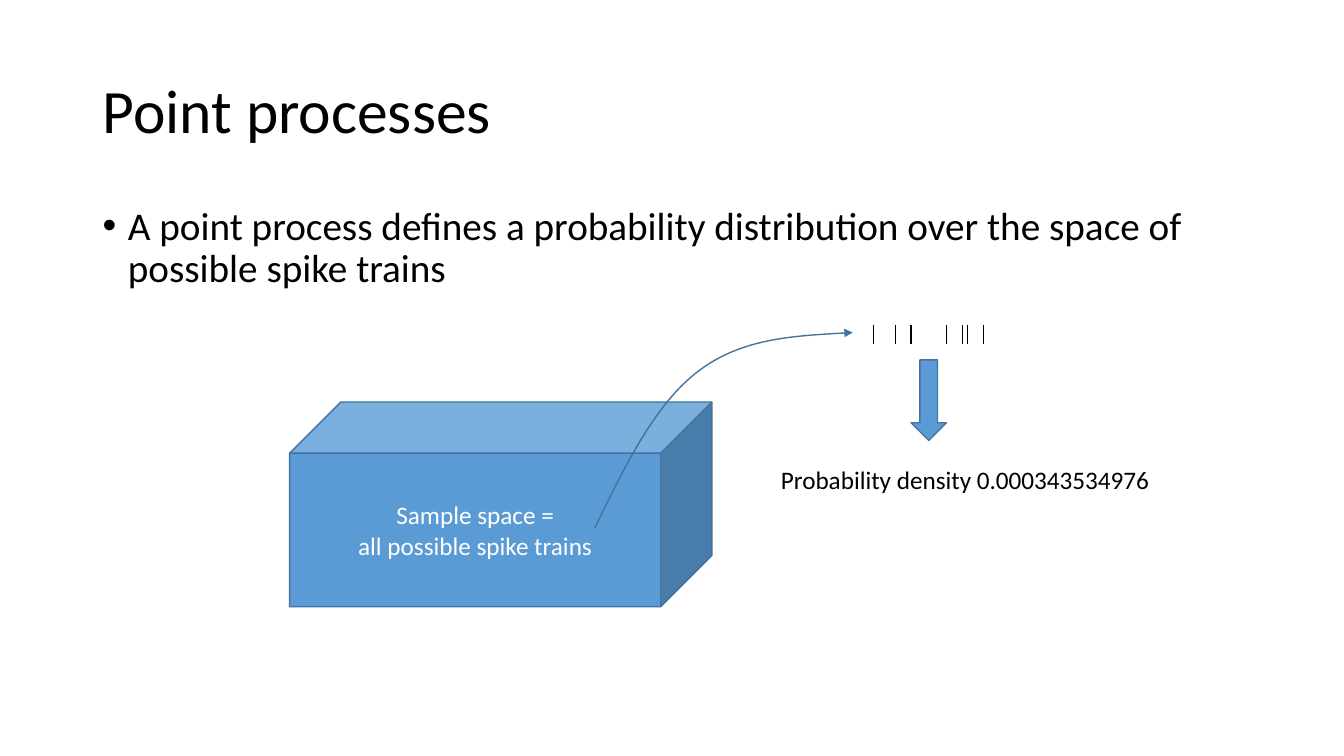
from typing import NamedTuple

from lxml import etree
from pptx import Presentation
from pptx import util as u
from pptx.dml.color import RGBColor
from pptx.enum import shapes, text
from pptx.oxml.ns import qn

COLORS = {"ink": "000000", "fill": "5B9BD5", "edge": "43739E", "light": "FFFFFF"}
FONT = "Calibri"


class Box(NamedTuple):
    """Left, top, width and height in centimetres."""
    x: float
    y: float
    w: float
    h: float


class Solid(NamedTuple):
    shape: shapes.MSO_SHAPE
    box: Box
    label: str


TITLE_BOX = Box(2.33, 1.01, 29.21, 3.68)
BODY_BOX = Box(2.33, 5.08, 29.21, 12.09)
DENSITY_BOX = Box(19.43, 11.58, 9.91, 1.02)
SOLIDS = [
    Solid(shapes.MSO_SHAPE.CUBE, Box(7.3, 10.13, 10.64, 5.16),
          "Sample space =\nall possible spike trains"),
    Solid(shapes.MSO_SHAPE.DOWN_ARROW, Box(22.96, 9.07, 0.89, 2.03), ""),
]
SPIKE_TIMES = [22.02, 22.56, 22.96, 23.85, 24.26, 24.38, 24.79]
SPIKE_TOP, SPIKE_BOTTOM = 8.18, 8.67
# Start point, then two control points and an end point for each arc.
CURVE = [(14.99, 13.31), (15.75, 11.73), (16.51, 10.19), (17.58, 9.37),
         (18.67, 8.53), (20.07, 8.46), (21.49, 8.38)]


def rgb(name: str) -> RGBColor:
    return RGBColor.from_string(COLORS[name])


def place(sp, box: Box) -> None:
    sp.left, sp.top, sp.width, sp.height = map(u.Cm, box)


def write(tf, content: str, size: float, color: str, align=text.PP_ALIGN.LEFT) -> None:
    tf.text = content
    for p in tf.paragraphs:
        p.alignment = align
        for r in p.runs:
            r.font.name = FONT
            r.font.size = u.Pt(size)
            r.font.color.rgb = rgb(color)


def fill_placeholder(sp, box: Box, content: str, size: float, anchor) -> None:
    place(sp, box)
    tf = sp.text_frame
    write(tf, content, size, "ink")
    tf.auto_size = text.MSO_AUTO_SIZE.NONE
    tf.vertical_anchor = anchor
    tf.paragraphs[0].line_spacing = 0.9
    tf.paragraphs[0].space_before = u.Pt(0)


def outline(sp, color: str) -> None:
    sp.line.color.rgb = rgb(color)
    sp.line.width = u.Pt(1)


def add_solid(s, solid: Solid) -> None:
    sp = s.shapes.add_shape(solid.shape, *map(u.Cm, solid.box))
    sp.shadow.inherit = False
    sp.fill.solid()
    sp.fill.fore_color.rgb = rgb("fill")
    outline(sp, "edge")
    if solid.label:
        sp.text_frame.vertical_anchor = text.MSO_ANCHOR.MIDDLE
        write(sp.text_frame, solid.label, 18, "light", text.PP_ALIGN.CENTER)


def add_curved_arrow(s, points: list[tuple[float, float]]) -> None:
    """Draw an open path and turn each three segments into one Bezier arc."""
    start, *rest = [(u.Cm(x), u.Cm(y)) for x, y in points]
    builder = s.shapes.build_freeform(*start)
    builder.add_line_segments(rest, close=False)
    sp = builder.convert_to_shape()
    sp.shadow.inherit = False
    sp.fill.background()
    outline(sp, "edge")
    segments = list(sp._element.iter(qn("a:lnTo")))
    for i in range(0, len(segments), 3):
        arc = etree.Element(qn("a:cubicBezTo"))
        segments[i].addprevious(arc)
        for segment in segments[i:i + 3]:
            arc.append(segment[0])
            segment.getparent().remove(segment)
    etree.SubElement(sp.line._get_or_add_ln(), qn("a:tailEnd"), type="triangle")


def add_spike_train(s) -> None:
    group = s.shapes.add_group_shape()
    for x in SPIKE_TIMES:
        spike = group.shapes.add_connector(
            shapes.MSO_CONNECTOR.STRAIGHT,
            u.Cm(x), u.Cm(SPIKE_TOP), u.Cm(x), u.Cm(SPIKE_BOTTOM))
        outline(spike, "ink")
        etree.SubElement(spike._element.spPr, qn("a:effectLst"))


def main() -> None:
    prs = Presentation()
    prs.slide_width, prs.slide_height = u.Cm(33.87), u.Cm(19.05)
    s = prs.slides.add_slide(prs.slide_layouts[1])

    fill_placeholder(s.shapes.title, TITLE_BOX, "Point processes", 44,
                     text.MSO_ANCHOR.MIDDLE)
    body = s.placeholders[1]
    fill_placeholder(body, BODY_BOX,
                     "A point process defines a probability distribution over "
                     "the space of possible spike trains", 28, text.MSO_ANCHOR.TOP)
    pPr = body.text_frame.paragraphs[0]._p.get_or_add_pPr()
    indent = u.Cm(0.64)
    pPr.set("marL", str(indent))
    pPr.set("indent", str(-indent))

    cube, down_arrow = SOLIDS
    add_solid(s, cube)
    add_curved_arrow(s, CURVE)
    add_spike_train(s)
    add_solid(s, down_arrow)

    density = s.shapes.add_textbox(*map(u.Cm, DENSITY_BOX))
    tf = density.text_frame
    tf.word_wrap = False
    tf.auto_size = text.MSO_AUTO_SIZE.SHAPE_TO_FIT_TEXT
    write(tf, "Probability density 0.000343534976", 18, "ink")

    prs.save("out.pptx")


if __name__ == "__main__":
    main()
